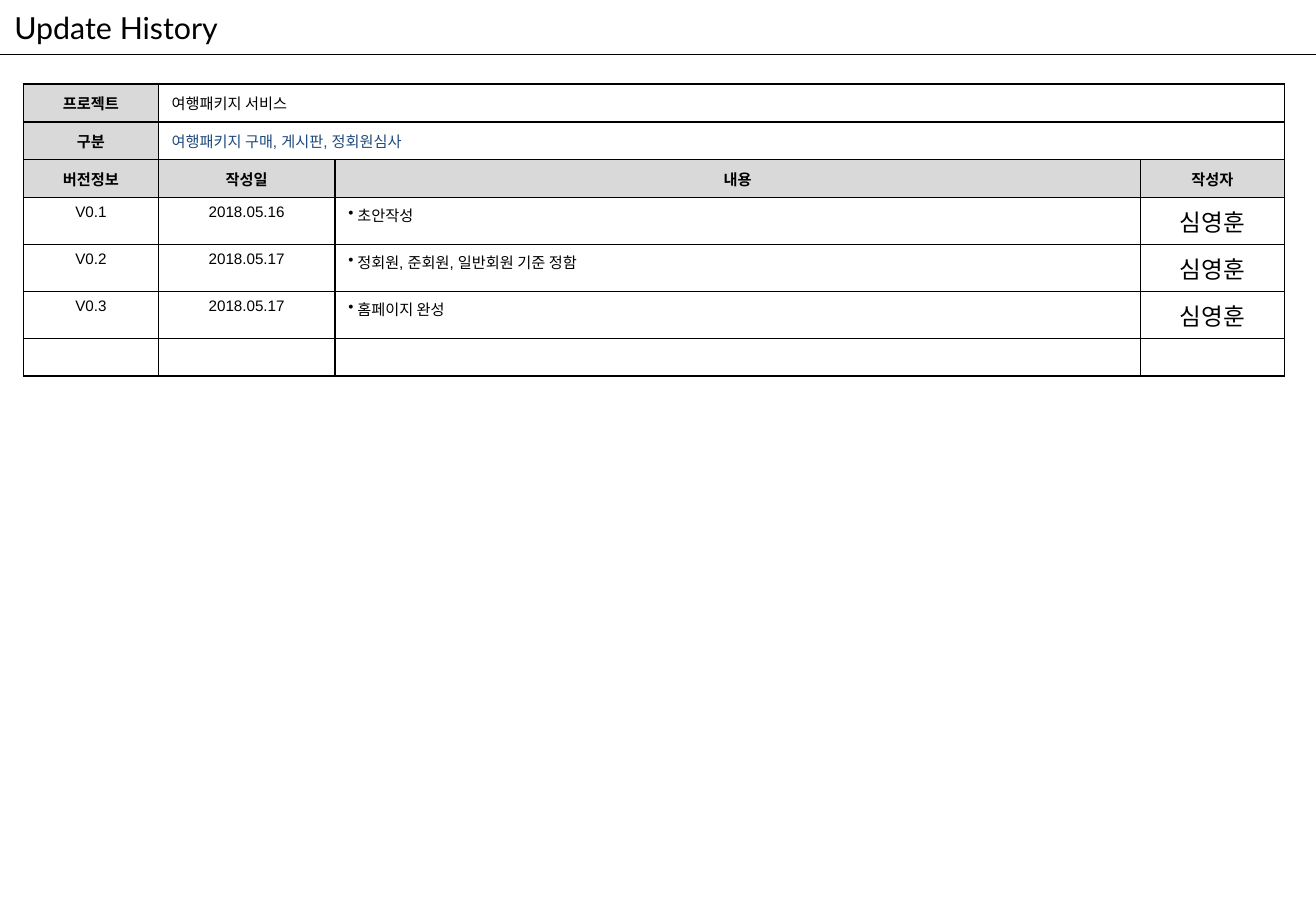
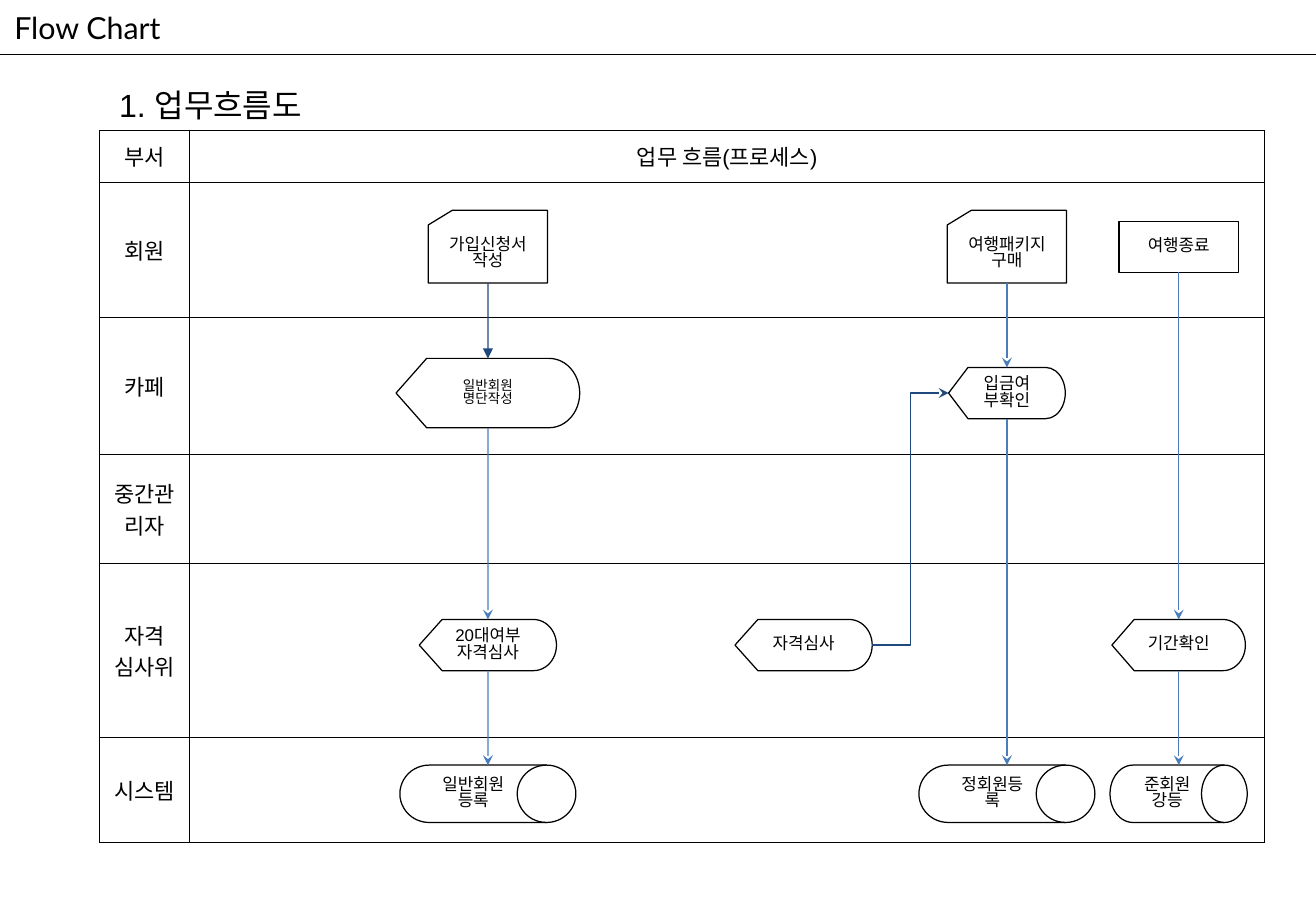
import pptx
import pptx.util
import pptx.dml.color
import pptx.enum.shapes
import pptx.enum.text
import pptx.oxml.ns
import lxml.etree

Cm, Pt = pptx.util.Cm, pptx.util.Pt
MSO = pptx.enum.shapes.MSO_SHAPE
CXN = pptx.enum.shapes.MSO_CONNECTOR
ALIGN = pptx.enum.text.PP_ALIGN
ANCHOR = pptx.enum.text.MSO_ANCHOR
qn = pptx.oxml.ns.qn

BLACK, WHITE, GREY = "000000", "FFFFFF", "D9D9D9"
NAVY, BLUE = "1F497D", "4A7DBB"


def rgb(value):
    return pptx.dml.color.RGBColor.from_string(value)


def write(tf, text, size, align=ALIGN.CENTER, color=BLACK, spacing=None, **fmt):
    """Fill a text frame, one paragraph per line of text."""
    fmt = {"name": "Arial", "size": Pt(size), **fmt}
    tf.word_wrap = True
    for i, line in enumerate(text.split("\n")):
        p = tf.paragraphs[0] if i == 0 else tf.add_paragraph()
        p.alignment, p.line_spacing = align, spacing
        r = p.add_run()
        r.text = line
        r.font.color.rgb = rgb(color)
        for key, value in fmt.items():
            setattr(r.font, key, value)


prs = pptx.Presentation()
prs.slide_width, prs.slide_height = Cm(27.51), Cm(19.05)

# Shared layout: title place and the rule under it
layout = prs.slide_layouts[5]
title_box = {"left": 0, "top": Cm(0.05), "width": Cm(12.04), "height": Cm(1.02)}
for key, value in title_box.items():
    setattr(layout.placeholders[0], key, value)
title_frame = {"margin_left": Cm(0.3), "margin_right": Cm(0.3),
               "margin_top": Cm(0.15), "margin_bottom": Cm(0.15),
               "vertical_anchor": ANCHOR.TOP,
               "auto_size": pptx.enum.text.MSO_AUTO_SIZE.NONE}
slides = []
for title in ("Update History", "Flow Chart"):
    s = prs.slides.add_slide(layout)
    tf = s.shapes.title.text_frame
    for key, value in title_frame.items():
        setattr(tf, key, value)
    write(tf, title, 18, ALIGN.LEFT, name="Lato")
    slides.append(s)
history, flow = slides

rule = history.shapes.add_connector(CXN.STRAIGHT, 0, Cm(1.14), prs.slide_width, Cm(1.14))
rule.line.color.rgb, rule.line.width = rgb(BLACK), Pt(0.75)
lxml.etree.SubElement(rule.element.spPr, qn("a:effectLst"))
layout.shapes.element.append(rule.element)

# Update history table
log_cols, log_rows = [2.82, 3.69, 16.84, 3.01], [0.79] * 7
log = history.shapes.add_table(7, 4, Cm(0.49), Cm(1.76),
                               Cm(sum(log_cols)), Cm(sum(log_rows))).table
for row, (label, value, color) in enumerate([
        ("프로젝트", "여행패키지 서비스", BLACK),
        ("구분", "여행패키지 구매, 게시판, 정회원심사", NAVY)]):
    log.cell(row, 1).merge(log.cell(row, 3))
    write(log.cell(row, 0).text_frame, label, 9, bold=True)
    write(log.cell(row, 1).text_frame, value, 9, ALIGN.LEFT, color)
for col, label in enumerate(["버전정보", "작성일", "내용", "작성자"]):
    write(log.cell(2, col).text_frame, label, 9, bold=True)
for row, (version, date, change) in enumerate([
        ("V0.1", "2018.05.16", "초안작성"),
        ("V0.2", "2018.05.17", "정회원, 준회원, 일반회원 기준 정함"),
        ("V0.3", "2018.05.17", "홈페이지 완성")], start=3):
    write(log.cell(row, 0).text_frame, version, 9)
    write(log.cell(row, 1).text_frame, date, 9)
    tf = log.cell(row, 2).text_frame
    write(tf, change, 9, ALIGN.LEFT)
    pPr = tf.paragraphs[0]._p.get_or_add_pPr()
    pPr.set("marL", str(Cm(0.19)))
    pPr.set("indent", str(-Cm(0.19)))
    lxml.etree.SubElement(pPr, qn("a:buChar")).set("char", "•")
    write(log.cell(row, 3).text_frame, "심영훈", 14)

# Swimlane table
lane_cols, lane_rows = [1.88, 22.48], [1.09, 2.82, 2.87, 2.28, 3.64, 2.19]
lanes = flow.shapes.add_table(6, 2, Cm(2.08), Cm(2.72),
                              Cm(sum(lane_cols)), Cm(sum(lane_rows))).table
for row, label in enumerate(["부서", "회원", "카페", "중간관리자", "자격\n심사위", "시스템"]):
    write(lanes.cell(row, 0).text_frame, label, 13)
write(lanes.cell(0, 1).text_frame, "업무 흐름(프로세스)", 13)

# Sizes, borders, fills and margins of both tables
log_heads = {(0, 0), (1, 0), (2, 0), (2, 1), (2, 2), (2, 3)}
for table, cols, rows, border, side, edge, heads, middle_rows in [
        (log, log_cols, log_rows, 1, 0.28, 0.13, log_heads, 3),
        (lanes, lane_cols, lane_rows, 0.75, 0.2, 0.1, set(), 6)]:
    table.first_row = table.horz_banding = False
    for column, width in zip(table.columns, cols):
        column.width = Cm(width)
    for r_no, height in enumerate(rows):
        table.rows[r_no].height = Cm(height)
        for c_no in range(len(cols)):
            cell = table.cell(r_no, c_no)
            fmt = {"margin_left": Cm(side), "margin_right": Cm(side),
                   "margin_top": Cm(edge), "margin_bottom": Cm(edge),
                   "vertical_anchor": ANCHOR.MIDDLE if r_no < middle_rows else ANCHOR.TOP}
            for key, value in fmt.items():
                setattr(cell, key, value)
            tcPr = cell._tc.get_or_add_tcPr()
            for tag in ("a:lnL", "a:lnR", "a:lnT", "a:lnB"):
                ln = lxml.etree.SubElement(tcPr, qn(tag), w=str(Pt(border)))
                fill = lxml.etree.SubElement(ln, qn("a:solidFill"))
                lxml.etree.SubElement(fill, qn("a:srgbClr"), val=BLACK)
            if (r_no, c_no) in heads:
                cell.fill.solid()
                cell.fill.fore_color.rgb = rgb(GREY)
            else:
                cell.fill.background()
            if not cell.text_frame.text:
                end = cell.text_frame.paragraphs[0]._p.get_or_add_endParaRPr()
                end.set("sz", "900")

# Heading above the lanes
frame = {"margin_left": Cm(0.18), "margin_right": Cm(0.18),
         "margin_top": Cm(0.1), "margin_bottom": Cm(0.1)}
tf = flow.shapes.add_textbox(Cm(2.31), Cm(1.68), Cm(8.43), Cm(1.17)).text_frame
for key, value in frame.items():
    setattr(tf, key, value)
write(tf, "1. 업무흐름도", 19, ALIGN.LEFT)

# Steps, centred on a grid of flow columns and lane rows
x_of = {"join": 10.2, "review": 16.8, "buy": 21.05, "end": 24.64}
y_of = {"member": 5.16, "cafe": 8.22, "board": 13.49, "system": 16.6}
CARD, DISPLAY = MSO.FLOWCHART_CARD, MSO.FLOWCHART_DISPLAY
DRUM = MSO.FLOWCHART_DIRECT_ACCESS_STORAGE
steps = {}
for col, lane, kind, width, height, size, text in [
        ("join", "member", CARD, 2.49, 1.52, 10, "가입신청서\n작성"),
        ("join", "cafe", DISPLAY, 3.84, 1.45, 8, "일반회원\n명단작성"),
        ("join", "board", DISPLAY, 2.87, 1.07, 10, "20대여부 자격심사"),
        ("join", "system", DRUM, 3.68, 1.2, 10, "일반회원 등록"),
        ("review", "board", DISPLAY, 2.87, 1.07, 10, "자격심사"),
        ("buy", "member", CARD, 2.49, 1.52, 10, "여행패키지 구매"),
        ("buy", "cafe", DISPLAY, 2.44, 1.07, 10, "입금여부확인"),
        ("buy", "system", DRUM, 3.68, 1.2, 10, "정회원등록"),
        ("end", "member", MSO.RECTANGLE, 2.49, 1.07, 10, "여행종료"),
        ("end", "board", DISPLAY, 2.79, 1.07, 10, "기간확인"),
        ("end", "system", DRUM, 2.87, 1.2, 10, "준회원강등")]:
    sp = flow.shapes.add_shape(kind, Cm(x_of[col] - width / 2), Cm(y_of[lane] - height / 2),
                               Cm(width), Cm(height))
    sp.shadow.inherit = False
    sp.fill.solid()
    sp.fill.fore_color.rgb = rgb(WHITE)
    sp.line.color.rgb, sp.line.width = rgb(BLACK), Pt(0.75)
    for key, value in frame.items():
        setattr(sp.text_frame, key, value)
    write(sp.text_frame, text, size, spacing=0.8)
    steps[col, lane] = sp

# Arrows; sites are 0 top, 1 left, 2 bottom, 3 right
down = (CXN.STRAIGHT, 2, 0)
across = (CXN.ELBOW, 3, 1)
for start, end, (kind, out_site, in_site), color, head in [
        (("join", "member"), ("join", "cafe"), down, NAVY, "triangle"),
        (("join", "cafe"), ("join", "board"), down, BLUE, "stealth"),
        (("join", "board"), ("join", "system"), down, BLUE, "stealth"),
        (("buy", "member"), ("buy", "cafe"), down, BLUE, "stealth"),
        (("buy", "cafe"), ("buy", "system"), down, BLUE, "stealth"),
        (("end", "member"), ("end", "board"), down, BLUE, "stealth"),
        (("end", "board"), ("end", "system"), down, BLUE, "stealth"),
        (("review", "board"), ("buy", "cafe"), across, NAVY, "stealth")]:
    arrow = flow.shapes.add_connector(kind, 0, 0, 0, 0)
    arrow.begin_connect(steps[start], out_site)
    arrow.end_connect(steps[end], in_site)
    arrow.line.color.rgb, arrow.line.width = rgb(color), Pt(0.75)
    lxml.etree.SubElement(arrow.line._get_or_add_ln(), qn("a:tailEnd"), type=head)
    lxml.etree.SubElement(arrow.element.spPr, qn("a:effectLst"))

prs.save("out.pptx")
